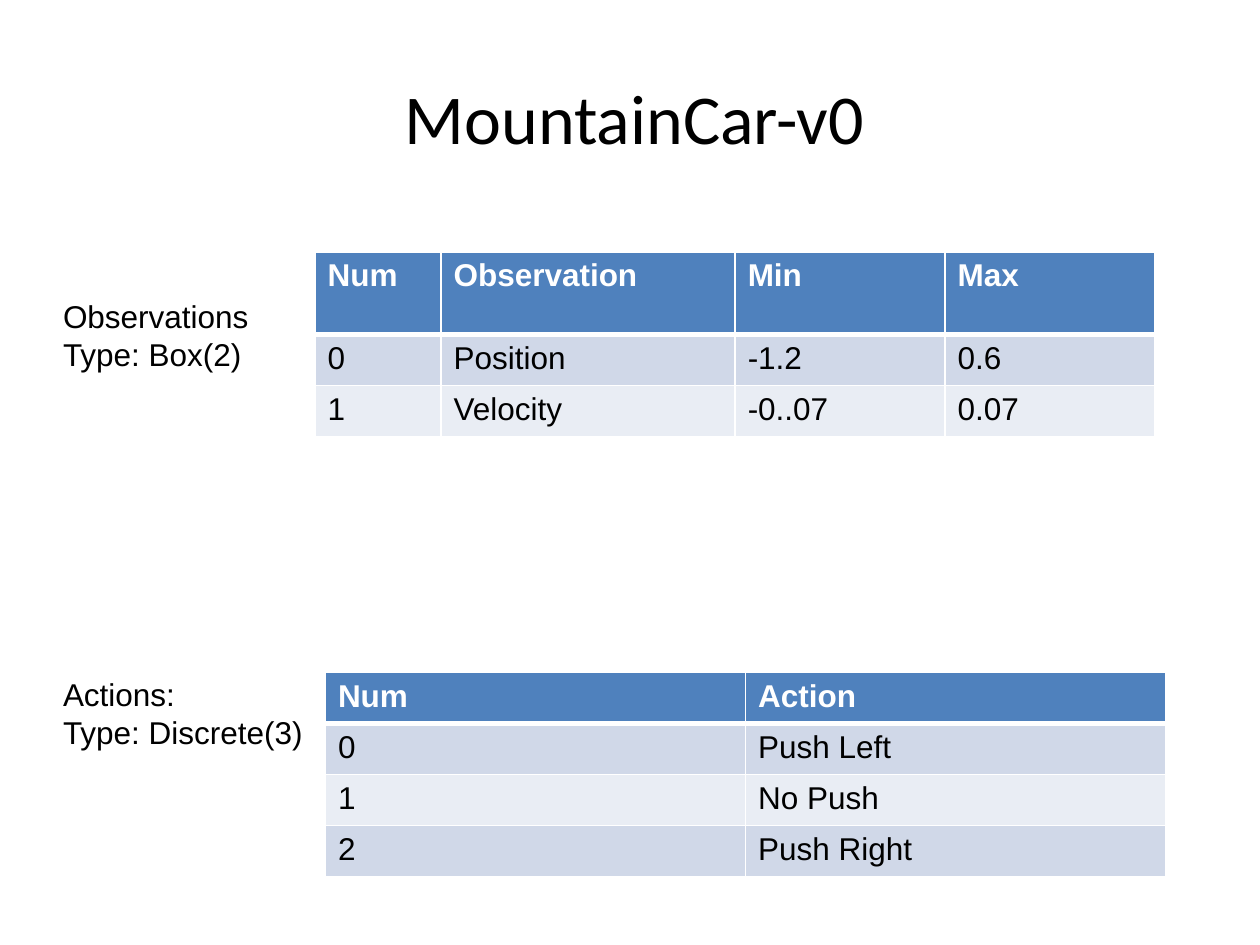
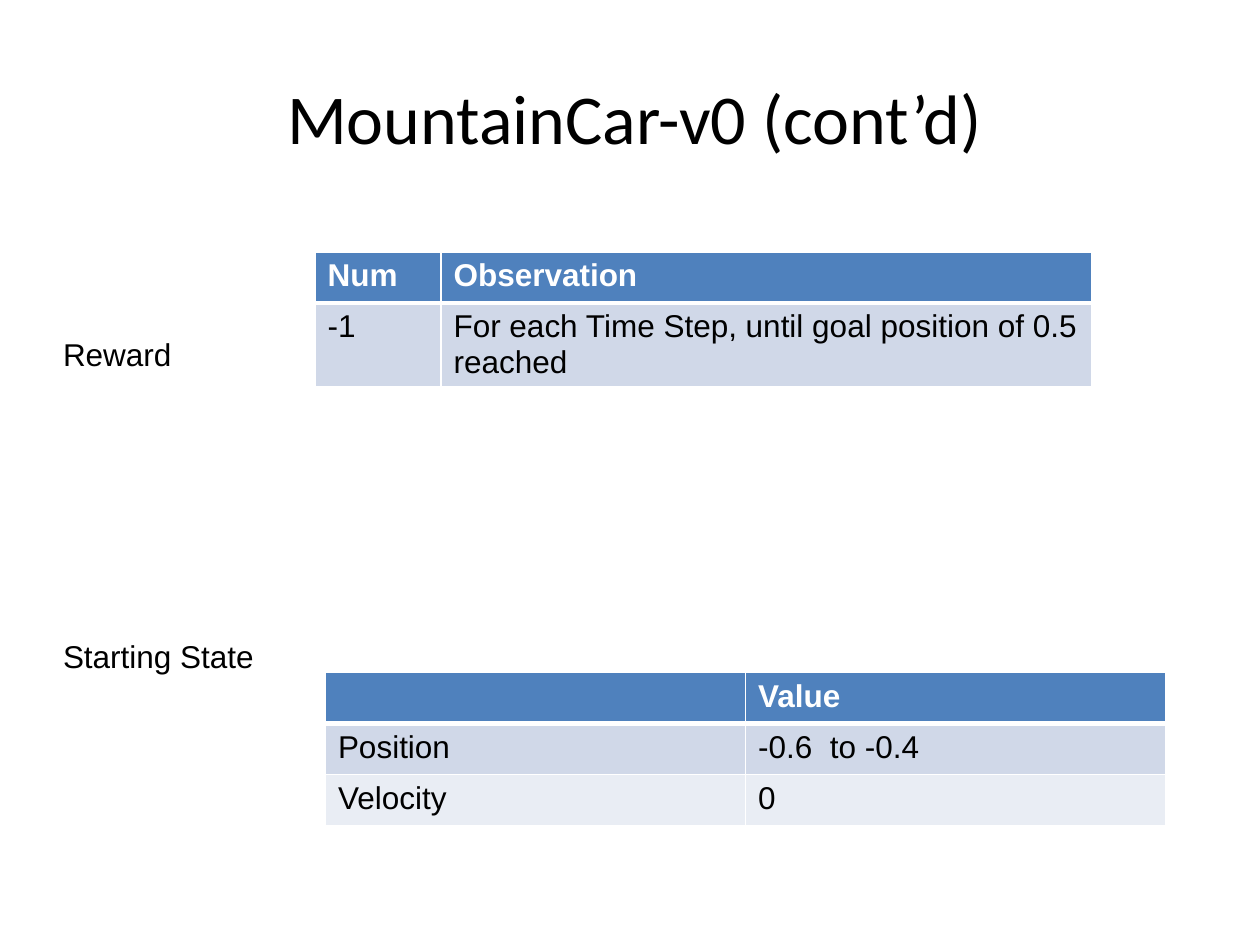
from lxml.etree import SubElement
from pptx import Presentation
from pptx.dml.color import RGBColor
from pptx.enum.text import MSO_ANCHOR as Anchor, MSO_AUTO_SIZE as AutoSize, PP_ALIGN as Align
from pptx.oxml.ns import qn
from pptx.util import Cm, Pt

ROW = 1.03
TALL_ROW = 1.66
LINE_PITCH = 21.6
HALVES = [8.47, 8.47]


def color(hex_code):
    return RGBColor.from_string(hex_code)


class Deck:
    black, white, header = "000000", "FFFFFF", "4F81BD"
    bands = ["D0D8E8", "E9EDF4"]
    title_font, text_font = "Calibri", "Arial"

    def __init__(self):
        self.prs = Presentation()
        self.prs.slide_width, self.prs.slide_height = Cm(25.4), Cm(19.05)
        self.slide = None

    def add_slide(self, title):
        self.slide = self.prs.slides.add_slide(self.prs.slide_layouts[0])
        heading = self.slide.shapes.title
        frame = self.place(heading, 0.76, 3.18, Anchor.MIDDLE)
        frame.margin_left = Cm(0.18)
        frame.paragraphs[0].alignment = Align.CENTER
        self.add_text(frame.paragraphs[0], title, 40, self.title_font)

    def place(self, holder, top, height, anchor):
        holder.left, holder.top = Cm(1.27), Cm(top)
        holder.width, holder.height = Cm(22.86), Cm(height)
        frame = holder.text_frame
        frame.word_wrap = True
        frame.auto_size = AutoSize.NONE
        frame.vertical_anchor = anchor
        frame.margin_left = frame.margin_right = 0
        frame.margin_top = frame.margin_bottom = 0
        return frame

    def add_text(self, paragraph, text, size=18, font=text_font, ink=black, bold=False):
        run = paragraph.add_run()
        run.text = text
        run.font.size, run.font.name, run.font.bold = Pt(size), font, bold
        run.font.color.rgb = color(ink)

    def labels(self, inset, upper, lower, skipped_lines):
        frame = self.place(self.slide.placeholders[1], 4.45, 13.74, Anchor.TOP)
        frame.margin_top = Cm(inset)
        for index, label in enumerate(upper + lower):
            paragraph = frame.paragraphs[0] if index == 0 else frame.add_paragraph()
            paragraph.alignment = Align.LEFT
            paragraph.line_spacing = Pt(LINE_PITCH)
            gap = skipped_lines if index == len(upper) else 0
            paragraph.space_before = Pt(gap * LINE_PITCH)
            self.add_text(paragraph, label)

    def border(self, cell, side, width):
        line = SubElement(cell._tc.get_or_add_tcPr(), qn(f"a:ln{side}"), w=str(Pt(width)))
        fill = SubElement(line, qn("a:solidFill"))
        SubElement(fill, qn("a:srgbClr"), val=self.white)

    def table(self, left, top, widths, heights, rows):
        table = self.slide.shapes.add_table(
            len(rows), len(widths), Cm(left), Cm(top), Cm(sum(widths)), Cm(sum(heights))
        ).table
        for column, width in zip(table.columns, widths):
            column.width = Cm(width)
        for r, (values, height) in enumerate(zip(rows, heights)):
            table.rows[r].height = Cm(height)
            is_header = r == 0
            for c, value in enumerate(values):
                cell = table.cell(r, c)
                for side in "LRTB":
                    under_header = (r, side) in [(0, "B"), (1, "T")]
                    self.border(cell, side, 3 if under_header else 1)
                cell.fill.solid()
                cell.fill.fore_color.rgb = color(self.header if is_header else self.bands[(r - 1) % 2])
                if value:
                    self.add_text(cell.text_frame.paragraphs[0], value,
                                  ink=self.white if is_header else self.black, bold=is_header)

    def upper_table(self, widths, heights, rows):
        self.table(6.35, 5.08, widths, heights, rows)

    def lower_table(self, rows):
        self.table(6.56, 13.55, HALVES, [ROW] * len(rows), rows)


def main():
    deck = Deck()

    deck.add_slide("MountainCar-v0")
    deck.labels(1.54, ["Observations", "Type: Box(2)"], ["Actions:", "Type: Discrete(3)"], 8)
    deck.upper_table([2.54, 5.93, 4.23, 4.23], [TALL_ROW, ROW, ROW], [
        ["Num", "Observation", "Min", "Max"],
        ["0", "Position", "-1.2", "0.6"],
        ["1", "Velocity", "-0..07", "0.07"],
    ])
    deck.lower_table([
        ["Num", "Action"],
        ["0", "Push Left"],
        ["1", "No Push"],
        ["2", "Push Right"],
    ])

    deck.add_slide("MountainCar-v0 (cont’d)")
    deck.labels(2.3, ["Reward"], ["Starting State"], 7)
    deck.upper_table([2.54, 13.12], [ROW, TALL_ROW], [
        ["Num", "Observation"],
        ["-1", "For each Time Step, until goal position of 0.5 reached"],
    ])
    deck.lower_table([
        ["", "Value"],
        ["Position", "-0.6  to -0.4"],
        ["Velocity", "0"],
    ])

    deck.prs.save("out.pptx")


if __name__ == "__main__":
    main()
